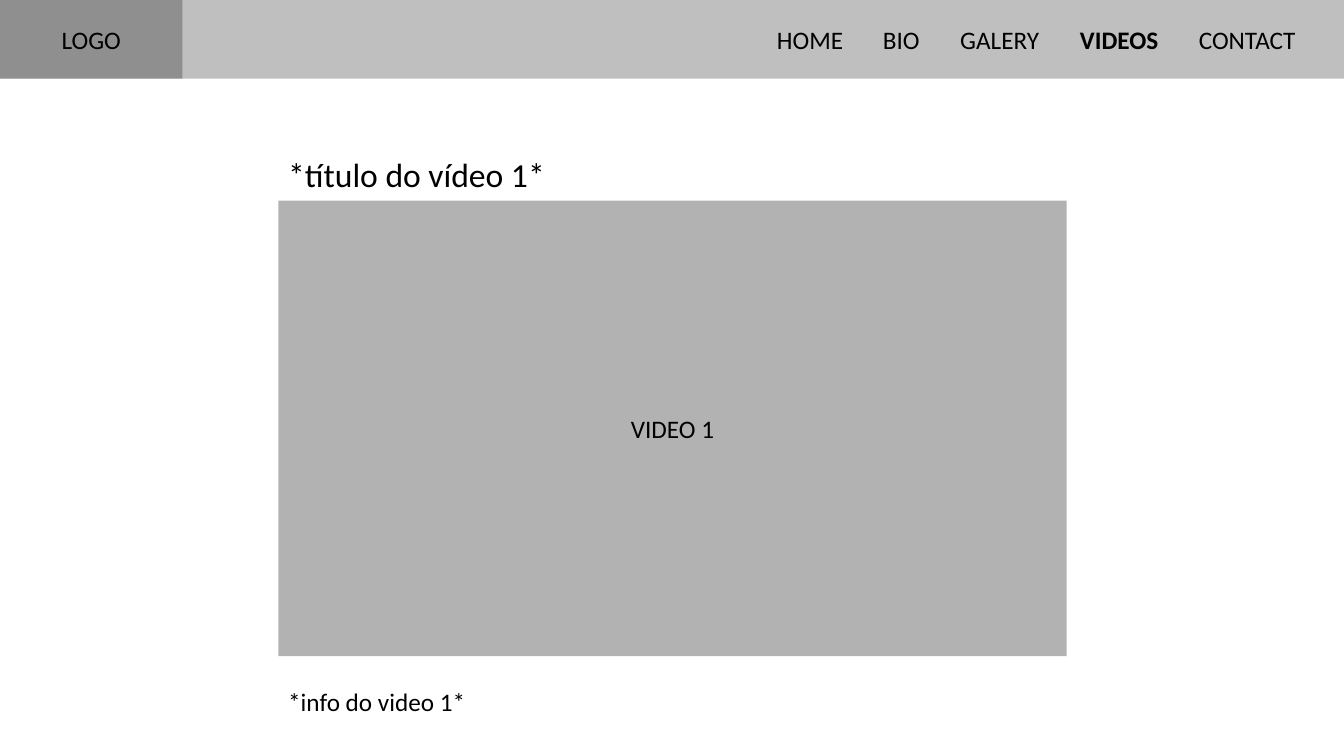
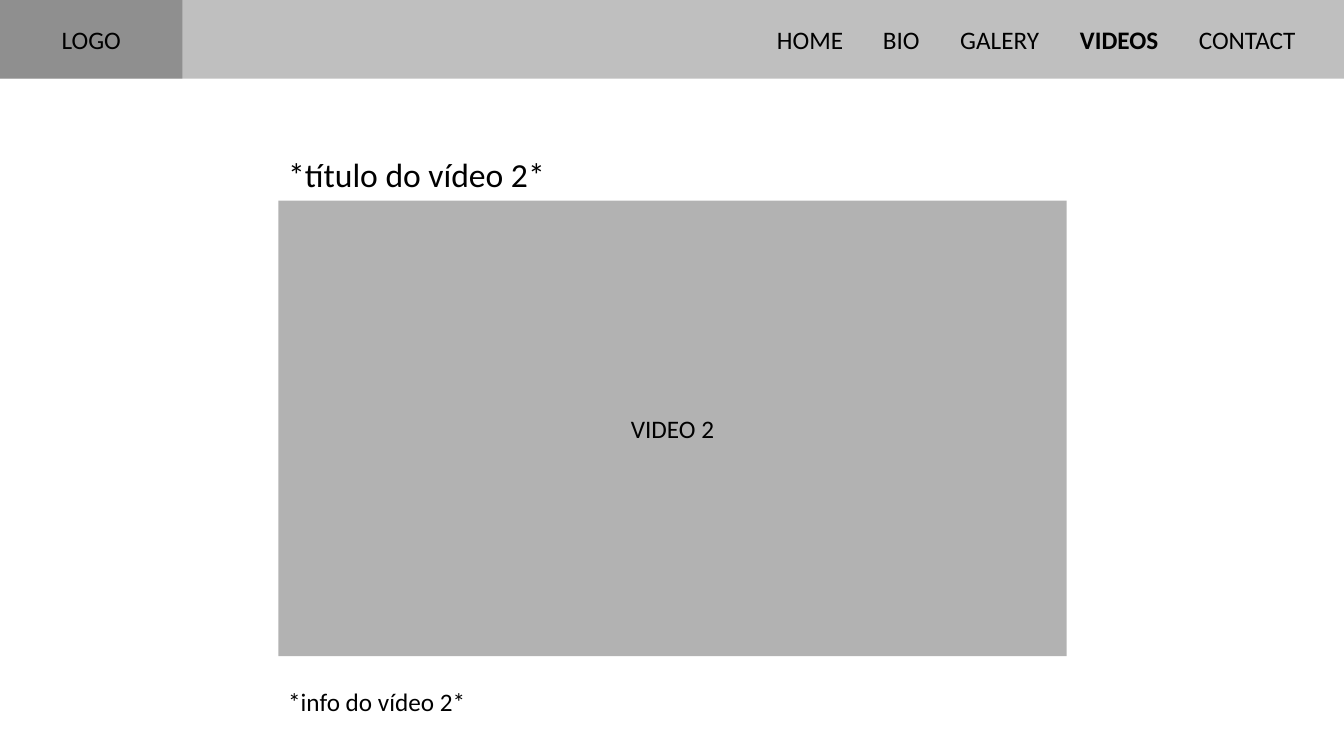
from lxml import etree
from pptx import Presentation, util as u
from pptx.dml.color import RGBColor
from pptx.enum import shapes, text
from pptx.oxml.ns import qn

INK = RGBColor(0, 0, 0)
FONT = "Calibri"
WIDE, HIGH = 13.33, 7.5
BAR = (0, 0, WIDE, 0.78)
PANEL = (2.76, 1.48, 7.82, 5.68)
MENU = (("HOME", 1.05), ("BIO", 0.76), ("GALERY", 1.19),
        ("VIDEOS", 1.18), ("CONTACT", 1.36))
START = 7.51
VIDEOS = (
    ("*título do vídeo 1*", "VIDEO 1", "*info do video 1*"),
    ("*título do vídeo 2*", "VIDEO 2", "*info do vídeo 2*"),
)


def write(shape, words, size=18, bold=False, align=text.PP_ALIGN.CENTER):
    """Put one styled run into a shape."""
    para = shape.text_frame.paragraphs[0]
    para.alignment = align
    run = para.add_run()
    run.text = words
    run.font.name = FONT
    run.font.size = u.Pt(size)
    run.font.bold = bold
    run.font.color.rgb = INK


def block(slide, box, alpha, words=""):
    """Draw a see-through black rectangle with an optional centred word."""
    rect = slide.shapes.add_shape(shapes.MSO_SHAPE.RECTANGLE, *map(u.Inches, box))
    rect.shadow.inherit = False
    rect.line.fill.background()
    rect.fill.solid()
    rect.fill.fore_color.rgb = INK
    tint = rect._element.spPr.find(qn("a:solidFill"))[0]
    etree.SubElement(tint, qn("a:alpha")).set("val", str(alpha * 1000))
    rect.text_frame.vertical_anchor = text.MSO_ANCHOR.MIDDLE
    if words:
        write(rect, words)


def label(slide, box, words, size):
    """Place a left-aligned line of text."""
    area = slide.shapes.add_textbox(*map(u.Inches, box))
    area.text_frame.word_wrap = True
    write(area, words, size, align=text.PP_ALIGN.LEFT)


def header(slide, box, active):
    """Draw the top bar, its logo area and the menu."""
    left, top, wide, high = box
    block(slide, box, 25)
    block(slide, (left, top, 1.81, high), 25, "LOGO")
    x = left + START
    for name, span in MENU:
        item = slide.shapes.add_textbox(*map(u.Inches, (x, top, span, high)))
        frame = item.text_frame
        frame.word_wrap = True
        frame.vertical_anchor = text.MSO_ANCHOR.MIDDLE
        write(item, name, bold=name == active)
        x += span


def player(slide, box, title, name, info):
    """Stack the title, video frame and info line in a box."""
    left, top, wide, high = box
    label(slide, (left, top, wide, 0.5), title, 24)
    block(slide, (left, top + 0.51, wide, high - 1.16), 30, name)
    label(slide, (left, top + high - 0.4, wide, 0.4), info, 18)


def main():
    """Build one page for each video."""
    deck = Presentation()
    deck.slide_width, deck.slide_height = u.Inches(WIDE), u.Inches(HIGH)
    for video in VIDEOS:
        slide = deck.slides.add_slide(deck.slide_layouts[6])
        header(slide, BAR, "VIDEOS")
        player(slide, PANEL, *video)
    deck.save("out.pptx")


if __name__ == "__main__":
    main()
